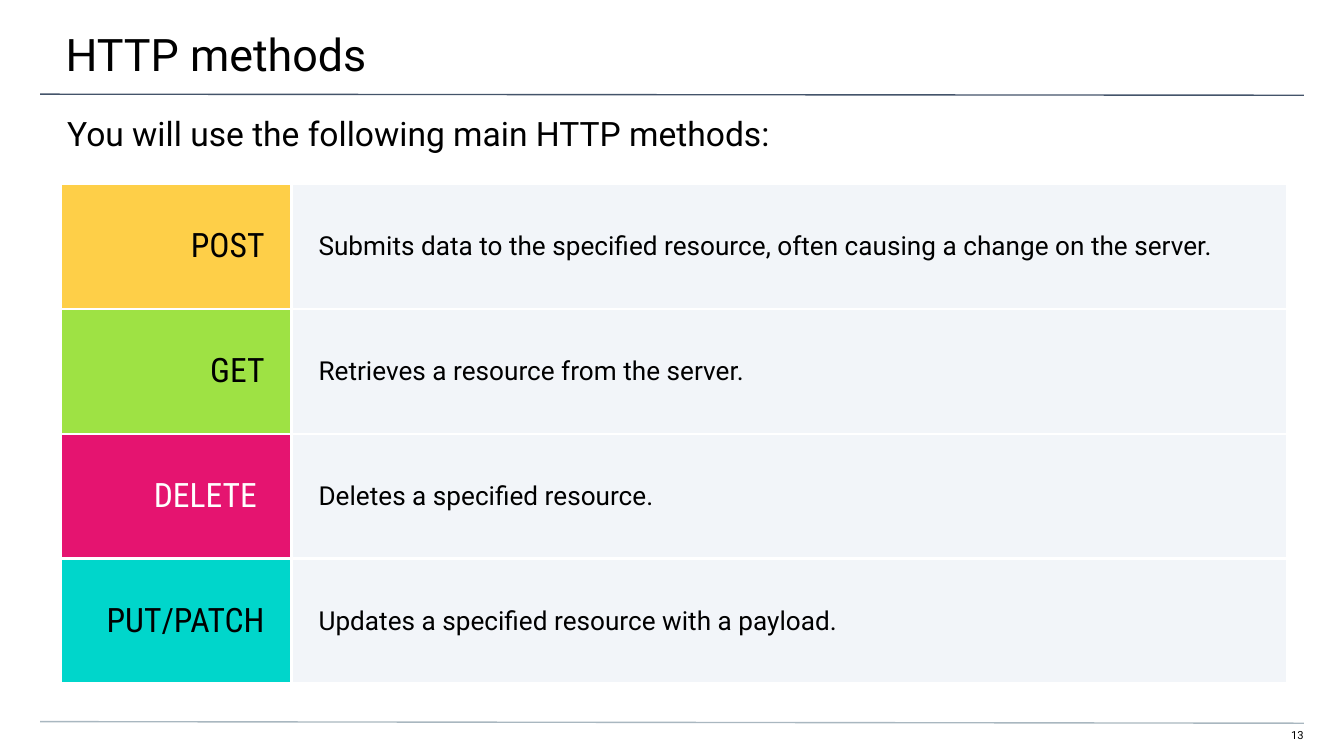
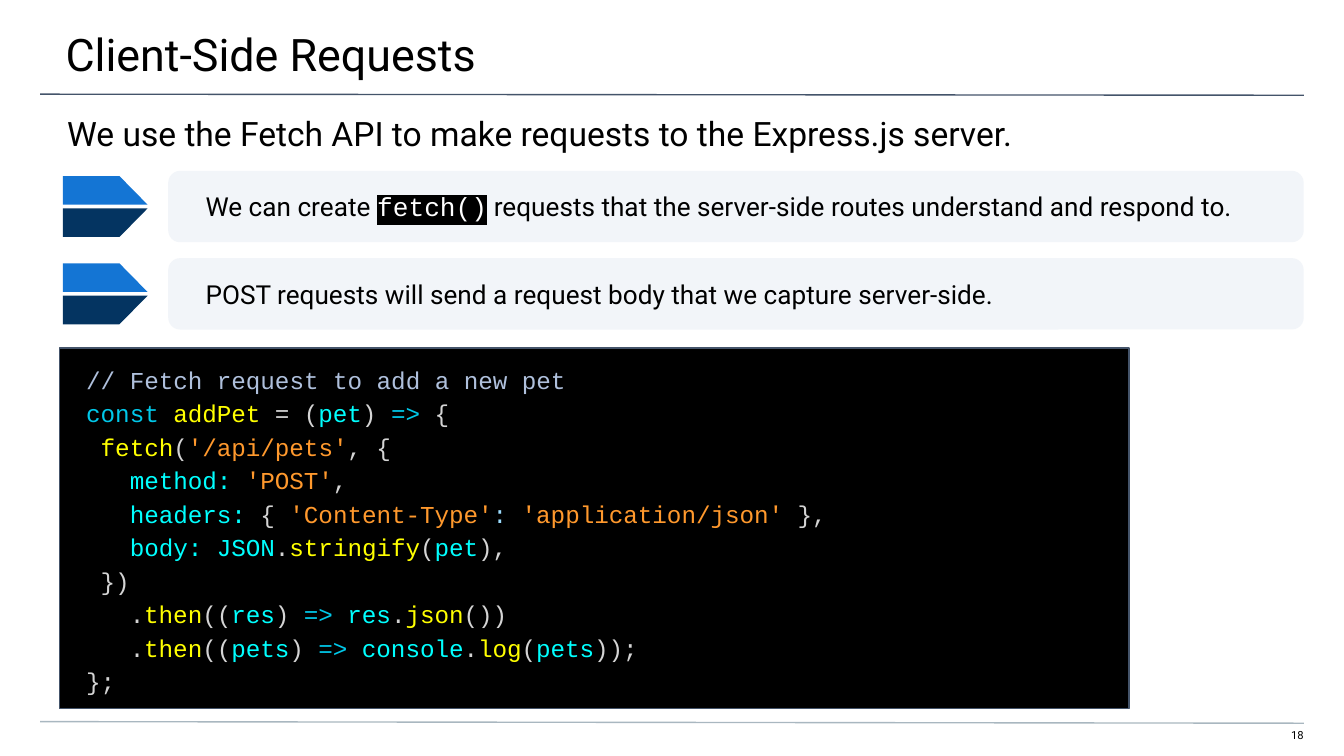
from lxml import etree
from pptx import Presentation
from pptx.dml.color import RGBColor
from pptx.enum import shapes, text
from pptx.oxml import ns
from pptx.util import Cm, Pt

# Colours and fonts
BLACK = RGBColor(0x00, 0x00, 0x00)
WHITE = RGBColor(0xFF, 0xFF, 0xFF)
SLATE = RGBColor(0x44, 0x54, 0x6A)
MIST = RGBColor(0xA9, 0xB7, 0xC0)
PALE = RGBColor(0xF2, 0xF5, 0xF9)
YELLOW = RGBColor(0xFE, 0xCF, 0x48)
GREEN = RGBColor(0x9E, 0xE2, 0x44)
PINK = RGBColor(0xE5, 0x14, 0x70)
TEAL = RGBColor(0x00, 0xD6, 0xCB)
BLUE = RGBColor(0x14, 0x75, 0xD4)
NAVY = RGBColor(0x04, 0x34, 0x61)

COMMENT = RGBColor(0xAF, 0xC0, 0xDC)
KEYWORD = RGBColor(0x00, 0xC8, 0xE9)
CALL = RGBColor(0xFF, 0xFF, 0x00)
NAME = RGBColor(0x00, 0xFF, 0xFF)
STRING = RGBColor(0xFF, 0x99, 0x2D)
PLAIN = RGBColor(0xD4, 0xD4, 0xD4)
COLON = RGBColor(0x9C, 0xDC, 0xFE)

BODY, LABEL, MONO = "Roboto", "Roboto Condensed", "Courier New"

# Content
METHODS = [
    ("POST", YELLOW, BLACK,
     "Submits data to the specified resource, often causing a change on the server."),
    ("GET", GREEN, BLACK, "Retrieves a resource from the server."),
    ("DELETE ", PINK, WHITE, "Deletes a specified resource."),
    ("PUT/PATCH", TEAL, BLACK, "Updates a specified resource with a payload."),
]

# Each span is (words, colour, font, highlight); later items may be left out
POINTS = [
    [("We can create ",), ("fetch()", WHITE, MONO, BLACK),
     (" requests that the server-side routes understand and respond to.",)],
    [("POST requests will send a request body that we capture server-side.",)],
]

CODE = [
    [("// Fetch request to add a new pet", COMMENT)],
    [("const ", KEYWORD), ("addPet", CALL), (" = (", PLAIN), ("pet", NAME),
     (") ", PLAIN), ("=>", KEYWORD), (" {", PLAIN)],
    [(" fetch", CALL), ("(", PLAIN), ("'/api/pets'", STRING), (", {", PLAIN)],
    [("   method: ", NAME), ("'POST'", STRING), (",", PLAIN)],
    [("   headers:", NAME), (" { ", PLAIN), ("'Content-Type'", STRING),
     (": ", COLON), ("'application/json'", STRING), (" },", PLAIN)],
    [("   body: JSON", NAME), (".", PLAIN), ("stringify", CALL), ("(", PLAIN),
     ("pet", NAME), ("),", PLAIN)],
    [(" })", PLAIN)],
    [("   .", PLAIN), ("then", CALL), ("((", PLAIN), ("res", NAME), (") ", PLAIN),
     ("=> ", KEYWORD), ("res", NAME), (".", PLAIN), ("json", CALL), ("())", PLAIN)],
    [("   .", PLAIN), ("then", CALL), ("((", PLAIN), ("pets", NAME), (") ", PLAIN),
     ("=> ", KEYWORD), ("console", NAME), (".", PLAIN), ("log", CALL),
     ("(", PLAIN), ("pets", NAME), ("));", PLAIN)],
    [("};", PLAIN)],
]

# Layout, in centimetres
PAGE_WIDTH, PAGE_HEIGHT = 25.4, 14.29
RULE_LEFT, RULE_RIGHT = 0.76, 24.64
RULES = [(1.78, 1.8, SLATE), (13.64, 13.67, MIST)]
TABLE_LEFT, TABLE_TOP, ROW_HEIGHT = 1.14, 3.48, 2.36
COLUMNS = [4.37, 18.82]
CARD_LEFT, CARD_TOP, CARD_WIDTH, CARD_HEIGHT, CARD_STEP = 3.18, 3.23, 21.46, 1.35, 1.65
ARROW_LEFT, ARROW_SHOULDER, ARROW_TIP = 1.19, 2.26, 2.79
ARROW_INSET, ARROW_HALF, ARROW_GAP = 0.1, 0.54, 0.07


def apply(target, values):
    for key, value in values.items():
        setattr(target, key, value)


def add_colour(parent, tag, colour):
    element = etree.SubElement(parent, ns.qn(tag))
    etree.SubElement(element, ns.qn("a:srgbClr")).set("val", str(colour))
    return element


def write(frame, lines, size, font=BODY, colour=BLACK, insets=(0, 0, 0, 0),
          anchor=text.MSO_ANCHOR.TOP, **para_format):
    """Fill a text frame; insets run left, top, right, bottom."""
    sides = ("margin_left", "margin_top", "margin_right", "margin_bottom")
    apply(frame, dict(zip(sides, map(Cm, insets))))
    apply(frame, {"word_wrap": True, "vertical_anchor": anchor})
    for index, line in enumerate(lines):
        para = frame.add_paragraph() if index else frame.paragraphs[0]
        apply(para, {"alignment": text.PP_ALIGN.LEFT, **para_format})
        for words, *style in line:
            ink, face, highlight = style + [colour, font, None][len(style):]
            span = para.add_run()
            span.text = words
            apply(span.font, {"size": Pt(size), "name": face})
            span.font.color.rgb = ink
            if highlight is not None:
                properties = span.font._element
                mark = add_colour(properties, "a:highlight", highlight)
                properties.find(ns.qn("a:solidFill")).addnext(mark)


def add_text(page, place, words, size, **style):
    box = page.shapes.add_textbox(*map(Cm, place))
    write(box.text_frame, [[(words,)]], size, **style)


def paint(shape, fill, line=None):
    shape.shadow.inherit = False
    shape.fill.solid()
    shape.fill.fore_color.rgb = fill
    if line is None:
        shape.line.fill.background()
    else:
        shape.line.color.rgb = line
        shape.line.width = Pt(0.75)


def add_page(deck, title, subtitle, number):
    page = deck.slides.add_slide(deck.slide_layouts[6])
    add_text(page, (23.9, 13.77, 0.74, 0.3), number, 6,
             insets=(0, 0, 0, 0.25), alignment=text.PP_ALIGN.RIGHT)
    for start, end, colour in RULES:
        rule = page.shapes.add_connector(
            shapes.MSO_CONNECTOR.STRAIGHT,
            Cm(RULE_LEFT), Cm(start), Cm(RULE_RIGHT), Cm(end))
        rule.line.color.rgb = colour
        rule.line.width = Pt(0.75)
        etree.SubElement(rule._element.spPr, ns.qn("a:effectLst"))
    add_text(page, (-0.03, 0, 25.48, 1.47), title, 24, insets=(1.27, 0.51, 0.76, 0.25))
    add_text(page, (0, 1.88, PAGE_WIDTH, 1.02), subtitle, 18,
             insets=(1.27, 0.25, 1.27, 0))
    return page


def fill_cell(cell, words, fill, size, **style):
    cell.fill.solid()
    cell.fill.fore_color.rgb = fill
    write(cell.text_frame, [[(words,)]], size, **style)
    apply(cell, {"vertical_anchor": text.MSO_ANCHOR.MIDDLE,
                 **dict.fromkeys(("margin_left", "margin_top",
                                  "margin_right", "margin_bottom"), Cm(0.51))})
    properties = cell._tc.get_or_add_tcPr()
    for index, side in enumerate(("a:lnL", "a:lnR", "a:lnT", "a:lnB")):
        border = etree.Element(ns.qn(side), w=str(Pt(1.5)))
        add_colour(border, "a:solidFill", WHITE)
        properties.insert(index, border)


def add_methods_table(page):
    table = page.shapes.add_table(
        len(METHODS), len(COLUMNS), Cm(TABLE_LEFT), Cm(TABLE_TOP),
        Cm(sum(COLUMNS)), Cm(ROW_HEIGHT * len(METHODS))).table
    apply(table, {"first_row": False, "horz_banding": False})
    for column, width in zip(table.columns, COLUMNS):
        column.width = Cm(width)
    for row, (method, fill, ink, meaning) in enumerate(METHODS):
        table.rows[row].height = Cm(ROW_HEIGHT)
        fill_cell(table.cell(row, 0), method, fill, 18, font=LABEL, colour=ink,
                  alignment=text.PP_ALIGN.RIGHT)
        fill_cell(table.cell(row, 1), meaning, PALE, 14)


def add_arrow(page, top):
    """Draw two mirrored halves that share a point on the right."""
    group = page.shapes.add_group_shape()
    bottom = top + 2 * ARROW_HALF + ARROW_GAP
    for outer, inner, colour in ((top, top + ARROW_HALF, BLUE),
                                 (bottom, bottom - ARROW_HALF, NAVY)):
        corners = [(ARROW_LEFT, outer), (ARROW_LEFT, inner),
                   (ARROW_TIP, inner), (ARROW_SHOULDER, outer)]
        start, *others = [(Cm(x), Cm(y)) for x, y in corners]
        builder = group.shapes.build_freeform(*start)
        builder.add_line_segments(others, close=True)
        paint(builder.convert_to_shape(), colour)


def add_code(page):
    box = page.shapes.add_shape(shapes.MSO_SHAPE.RECTANGLE,
                                Cm(1.12), Cm(6.58), Cm(20.22), Cm(6.81))
    paint(box, BLACK, SLATE)
    write(box.text_frame, CODE, 13, font=MONO, insets=(0.51, 0.25, 0.25, 0.25),
          anchor=text.MSO_ANCHOR.MIDDLE, line_spacing=1.15)


def add_points(page):
    for index, point in enumerate(POINTS):
        top = CARD_TOP + index * CARD_STEP
        card = page.shapes.add_shape(
            shapes.MSO_SHAPE.ROUNDED_RECTANGLE,
            Cm(CARD_LEFT), Cm(top), Cm(CARD_WIDTH), Cm(CARD_HEIGHT))
        paint(card, PALE)
        write(card.text_frame, [point], 14, insets=(0.64, 0.25, 0.25, 0.25),
              anchor=text.MSO_ANCHOR.MIDDLE)
        add_arrow(page, top + ARROW_INSET)


def main():
    deck = Presentation()
    apply(deck, {"slide_width": Cm(PAGE_WIDTH), "slide_height": Cm(PAGE_HEIGHT)})

    # HTTP methods
    page = add_page(deck, "HTTP methods",
                    "You will use the following main HTTP methods:", "13")
    add_methods_table(page)

    # Client-side requests
    page = add_page(deck, "Client-Side Requests",
                    "We use the Fetch API to make requests to the Express.js server.", "18")
    add_code(page)
    add_points(page)

    deck.save("out.pptx")


if __name__ == "__main__":
    main()
